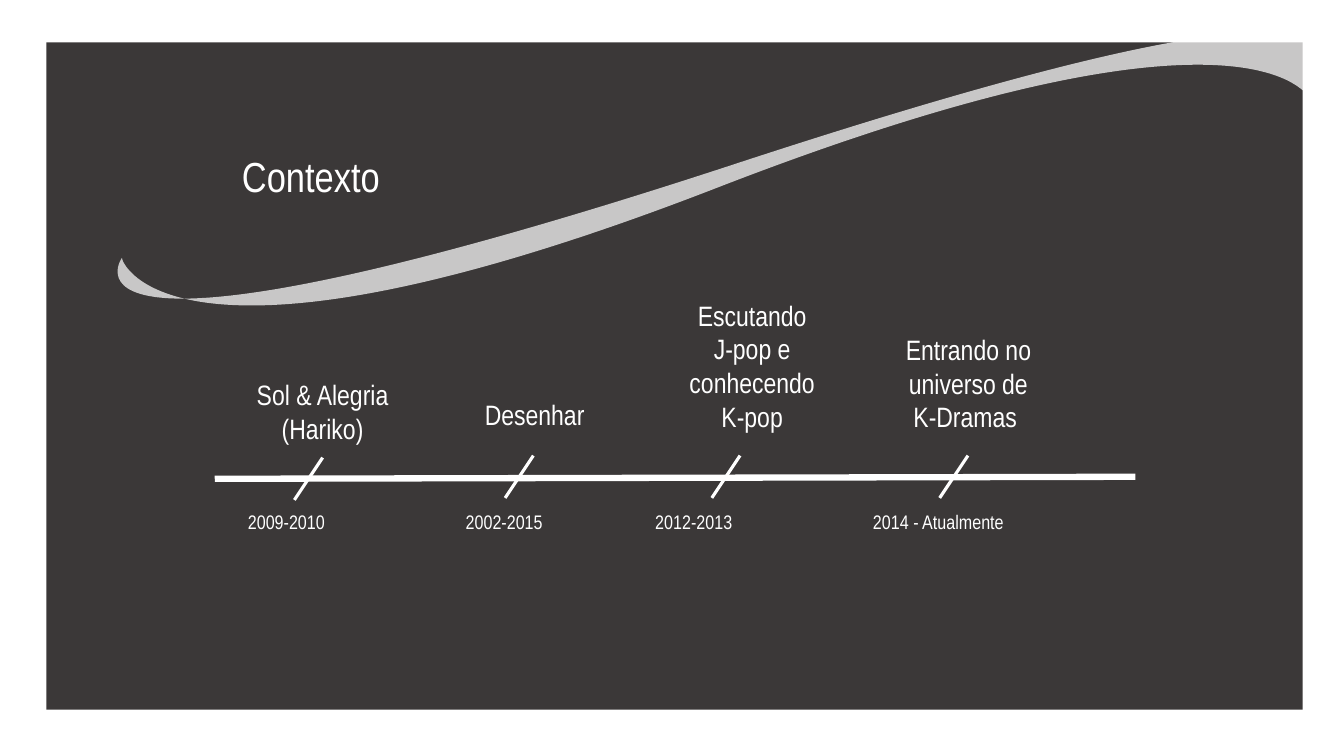
from dataclasses import dataclass
from math import cos, radians, sin

from lxml import etree
from pptx import Presentation
from pptx.dml.color import RGBColor
from pptx.enum.shapes import MSO_CONNECTOR, MSO_SHAPE
from pptx.enum.text import MSO_ANCHOR, MSO_AUTO_SIZE, PP_ALIGN
from pptx.oxml.ns import qn
from pptx.util import Pt

PX = 9144  # EMU in one px, at 100 px to the inch
LEFT, CENTER = PP_ALIGN.LEFT, PP_ALIGN.CENTER
TOP = MSO_ANCHOR.TOP
GROW = MSO_AUTO_SIZE.SHAPE_TO_FIT_TEXT
RECTANGLE = MSO_SHAPE.RECTANGLE
STRAIGHT = MSO_CONNECTOR.STRAIGHT


@dataclass(frozen=True)
class Theme:
    font: str = "Arial Narrow"
    panel: RGBColor = RGBColor(0x3B, 0x38, 0x38)
    ink: RGBColor = RGBColor(0xFF, 0xFF, 0xFF)
    ribbon_alpha: int = 72
    title_size: int = 30
    event_size: int = 20
    date_size: int = 14
    axis_width: float = 4.5
    tick_width: float = 2.25


THEME = Theme()

RIBBON_BOX = (109, 106, 1204, 136)
RIBBON_TILT = -8.1
# Points on the slide: a start, then two controls and an end for each curve
RIBBON_START = (121, 256)
RIBBON_CURVES = [
    ((123, 252), (19, 395), (722, 165)),
    ((1424, -66), (1291, 72), (1294, 89)),
    ((1296, 106), (1256, -25), (712, 186)),
    ((169, 397), (120, 259), RIBBON_START),
]

# Event, event box, alignment, left and bottom of the tick, date, left and width of the date
MILESTONES = [
    ("Sol & Alegria (Hariko)", (232, 370, 176, 77), CENTER, (292, 496),
     "2009-2010", (236, 112)),
    ("Desenhar", (471, 389, 123, 44), LEFT, (501, 494),
     "2002-2015", (452, 112)),
    ("Escutando J-pop e conhecendo K-pop", (670, 291, 152, 145), CENTER, (706, 494),
     "2012-2013", (640, 112)),
    ("Entrando no universo de K-Dramas ", (886, 325, 149, 111), CENTER, (932, 494),
     "2014 - Atualmente", (856, 151)),
]
TICK_WIDTH, TICK_HEIGHT = 28, 42
DATE_TOP, DATE_HEIGHT = 501, 34


def emu(*lengths):
    return [length * PX for length in lengths]


def write_text(shape, text, size, align=LEFT):
    tf = shape.text_frame
    tf.word_wrap = True
    tf.auto_size = GROW
    tf.vertical_anchor = TOP
    tf.text = text
    p = tf.paragraphs[0]
    p.alignment = align
    p.line_spacing = 1.0
    font = p.runs[0].font
    font.name = THEME.font
    font.size = Pt(size)
    font.color.rgb = THEME.ink


def add_title(s, text, box):
    title = s.shapes.title
    title.left, title.top, title.width, title.height = emu(*box)
    write_text(title, text, THEME.title_size)


def add_label(s, text, box, size, align=LEFT):
    write_text(s.shapes.add_textbox(*emu(*box)), text, size, align)


def paint(shape, color):
    shape.shadow.inherit = False
    shape.fill.solid()
    shape.fill.fore_color.rgb = color
    shape.line.fill.background()


def add_panel(s, box):
    """Add the dark panel behind the title."""
    panel = s.shapes.add_shape(RECTANGLE, *emu(*box))
    paint(panel, THEME.panel)
    s.shapes.title.element.addprevious(panel.element)


def untilt(point):
    """Turn a slide point into EMU inside the ribbon's box before its rotation."""
    left, top, width, height = RIBBON_BOX
    dx = point[0] - left - width / 2
    dy = point[1] - top - height / 2
    angle = radians(-RIBBON_TILT)
    x = width / 2 + dx * cos(angle) - dy * sin(angle)
    y = height / 2 + dx * sin(angle) + dy * cos(angle)
    return round(x * PX), round(y * PX)


def add_command(outline, tag, points=()):
    command = etree.SubElement(outline, qn(tag))
    for point in points:
        x, y = untilt(point)
        etree.SubElement(command, qn("a:pt"), x=str(x), y=str(y))


def add_ribbon(s):
    """Add a freeform of the box's size and give it the curved outline."""
    left, top, width, height = emu(*RIBBON_BOX)
    builder = s.shapes.build_freeform(left, top)
    builder.add_line_segments([(left + width, top + height)])
    ribbon = builder.convert_to_shape()
    outline = ribbon.element.spPr.find(".//" + qn("a:path"))
    for command in list(outline):
        outline.remove(command)
    add_command(outline, "a:moveTo", [RIBBON_START])
    for curve in RIBBON_CURVES:
        add_command(outline, "a:cubicBezTo", curve)
    add_command(outline, "a:close")
    ribbon.rotation = RIBBON_TILT
    paint(ribbon, THEME.ink)
    color = ribbon.element.spPr.find(qn("a:solidFill"))[0]
    etree.SubElement(color, qn("a:alpha"), val=str(THEME.ribbon_alpha * 1000))


def add_line(s, start, end, width):
    line = s.shapes.add_connector(STRAIGHT, *emu(*start, *end))
    line.line.color.rgb = THEME.ink
    line.line.width = Pt(width)
    etree.SubElement(line.element.spPr, qn("a:effectLst"))


def add_milestone(s, event, event_box, align, tick, date, date_span):
    x, y = tick
    add_line(s, tick, (x + TICK_WIDTH, y - TICK_HEIGHT), THEME.tick_width)
    left, width = date_span
    add_label(s, date, (left, DATE_TOP, width, DATE_HEIGHT), THEME.date_size)
    add_label(s, event, event_box, THEME.event_size, align)


def main():
    prs = Presentation()
    prs.slide_width, prs.slide_height = emu(1333, 750)
    s = prs.slides.add_slide(prs.slide_layouts[5])
    add_panel(s, (46, 42, 1246, 662))
    add_title(s, "Contexto", (230, 144, 179, 61))
    add_ribbon(s)
    add_line(s, (213, 475), (1126, 473), THEME.axis_width)
    for milestone in MILESTONES:
        add_milestone(s, *milestone)
    prs.save("out.pptx")


if __name__ == "__main__":
    main()
